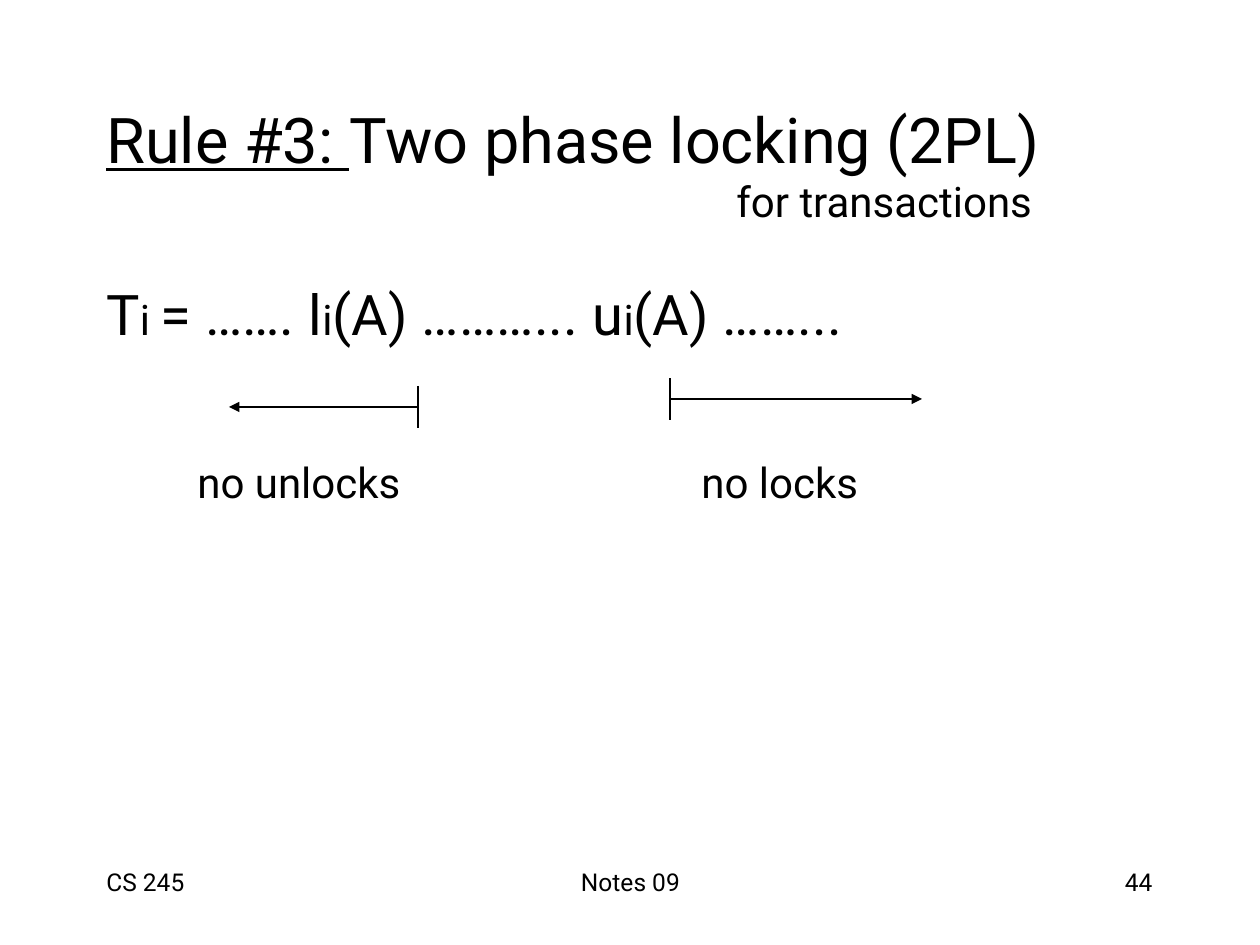
from lxml.etree import SubElement
from pptx import Presentation
from pptx.dml.color import RGBColor
from pptx.enum.shapes import MSO_CONNECTOR
from pptx.enum.text import MSO_ANCHOR as Anchor, PP_ALIGN as Align
from pptx.oxml.ns import qn
from pptx.util import Pt

EMU_PER_PX = 914400 / 126
FONT = "Roboto"
COLORS = {"ink": "000000", "paper": "FFFFFF"}


def px(value):
    """Turn pixels into EMU."""
    return round(value * EMU_PER_PX)


def add_text(slide, box, paragraphs, align=Align.LEFT, anchor=Anchor.TOP):
    """Add a text box from lists of (text, size) runs and return its paragraphs."""
    frame = slide.shapes.add_textbox(*map(px, box)).text_frame
    frame.word_wrap = True
    frame.vertical_anchor = anchor
    for index, runs in enumerate(paragraphs):
        paragraph = frame.add_paragraph() if index else frame.paragraphs[0]
        paragraph.alignment = align
        for text, size in runs:
            run = paragraph.add_run()
            run.text = text
            run.font.name = FONT
            run.font.size = Pt(size)
            run.font.color.rgb = RGBColor.from_string(COLORS["ink"])
    return frame.paragraphs


def add_tab_stop(paragraph, position):
    """Give a paragraph one left tab stop."""
    tabs = SubElement(paragraph._p.get_or_add_pPr(), qn("a:tabLst"))
    SubElement(tabs, qn("a:tab"), pos=str(px(position)), algn="l")


def add_line(slide, start, end, arrow=False):
    """Add a thin straight line, with an arrowhead at its end if asked."""
    line = slide.shapes.add_connector(
        MSO_CONNECTOR.STRAIGHT, *map(px, (*start, *end)))
    line.line.width = Pt(0.75)
    line.line.color.rgb = RGBColor.from_string(COLORS["ink"])
    if arrow:
        SubElement(line.line._get_or_add_ln(), qn("a:tailEnd"), type="triangle")
    SubElement(line._element.spPr, qn("a:effectLst"))


def add_phase(slide, x, y, length):
    """Add an arrow that starts from a vertical bar."""
    add_line(slide, (x, y), (x + length, y), arrow=True)
    add_line(slide, (x, y - 21), (x, y + 21))


def add_footer(slide):
    """Add the course, the notes title and the page number."""
    for left, width, text, align in (
        (94, 262, "CS 245", Align.LEFT),
        (431, 399, "Notes 09", Align.CENTER),
        (903, 262, "44", Align.RIGHT),
    ):
        add_text(slide, (left, 861, width, 63), [[(text, 14)]], align)


def main():
    """Build the two phase locking slide."""
    presentation = Presentation()
    presentation.slide_width, presentation.slide_height = px(1260), px(945)
    slide = presentation.slides.add_slide(presentation.slide_layouts[6])
    slide.background.fill.solid()
    slide.background.fill.fore_color.rgb = RGBColor.from_string(COLORS["paper"])

    add_footer(slide)
    heading, subheading = add_text(
        slide, (94, 84, 1071, 158),
        [[("Rule #3: ", 36), ("Two phase locking (2PL)", 36)],
         [("for transactions", 24)]],
        anchor=Anchor.MIDDLE)
    heading.runs[0].font.underline = True
    subheading._p.get_or_add_pPr().set("marL", str(px(630)))

    add_text(slide, (94, 273, 1071, 567), [[
        ("T", 32), ("i ", 24), ("= ……. l", 32), ("i", 24),
        ("(A) ………... u", 32), ("i", 24), ("(A) ……...", 32)]])

    add_phase(slide, 418, 407, -189)
    add_phase(slide, 670, 399, 252)
    labels = add_text(slide, (185, 450, 691, 63),
                      [[("no unlocks\tno locks", 24)]], anchor=Anchor.MIDDLE)
    add_tab_stop(labels[0], 504)

    presentation.save("out.pptx")


if __name__ == "__main__":
    main()
